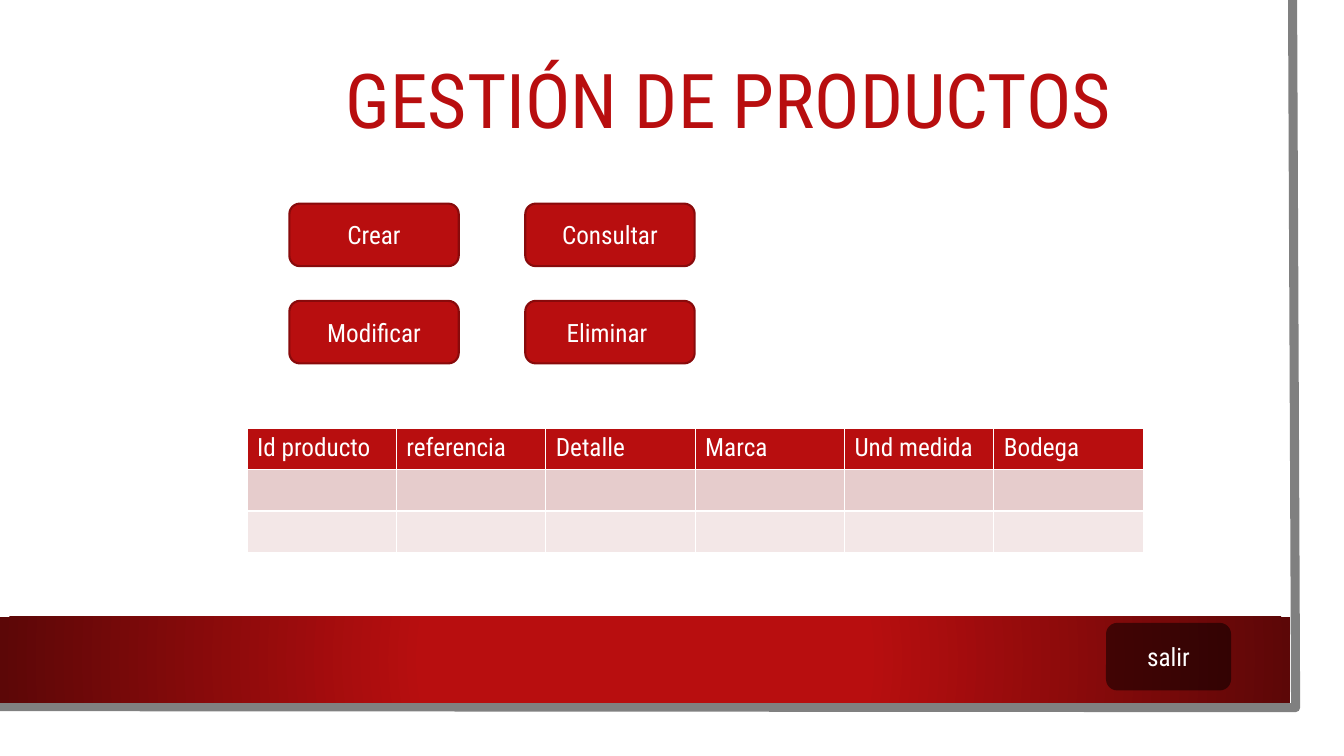
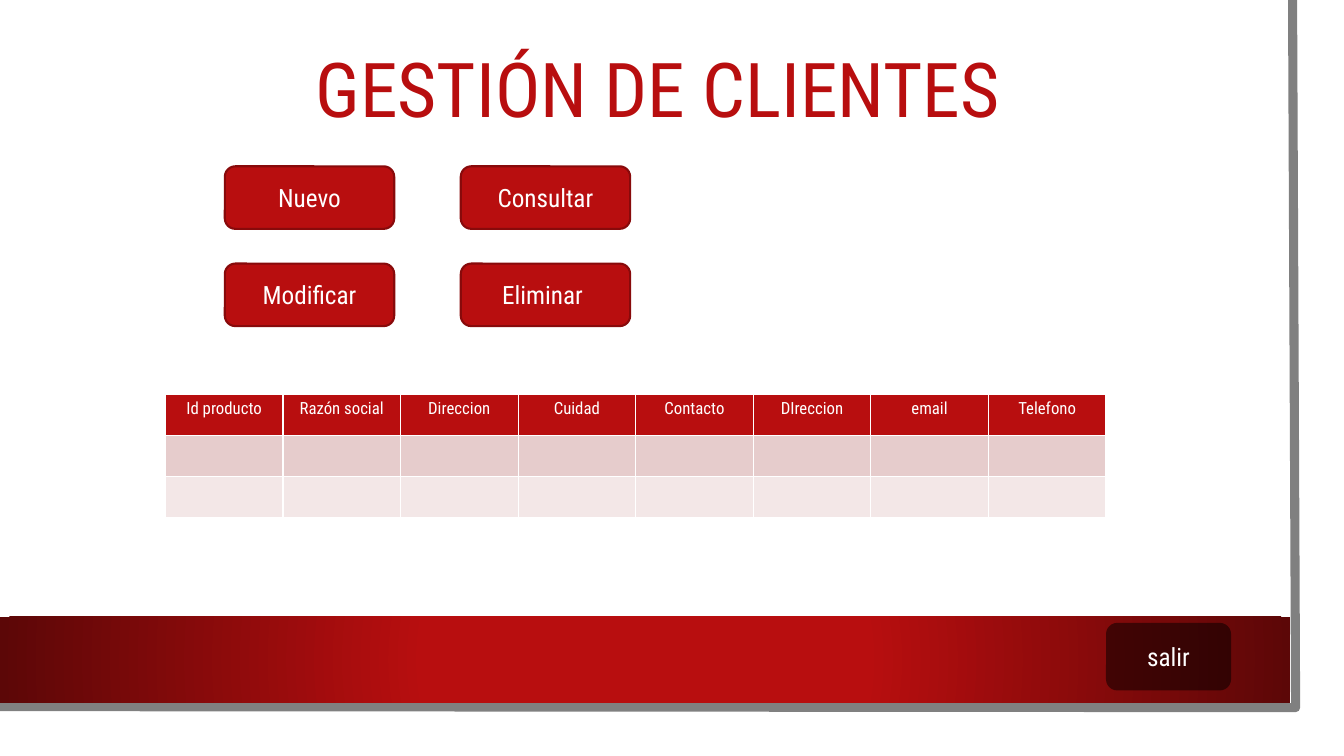
from lxml import etree
from pptx import Presentation
from pptx.dml.color import RGBColor
from pptx.enum import shapes, text
from pptx.oxml import ns, parse_xml
from pptx.util import Inches, Pt

RED = RGBColor(0xB8, 0x0E, 0x0F)
DARK = RGBColor(0x5C, 0x07, 0x07)
EDGE = RGBColor(0x88, 0x0A, 0x0B)
GREY = RGBColor(0x80, 0x80, 0x80)
ROSE = RGBColor(0xE6, 0xCC, 0xCC)
PALE = RGBColor(0xF3, 0xE7, 0xE7)
WHITE = RGBColor(0xFF, 0xFF, 0xFF)
BLACK = RGBColor(0, 0, 0)

FONT = "Roboto Condensed"
RECT = shapes.MSO_SHAPE.RECTANGLE
ROUND = shapes.MSO_SHAPE.ROUNDED_RECTANGLE
CENTER = text.PP_ALIGN.CENTER
MIDDLE = text.MSO_ANCHOR.MIDDLE

BTN_W, BTN_H = 1.68, 0.62
STEP_X, STEP_Y = 2.34, 0.965
ROW_H = 0.41

SCREENS = [
    {"title": "GESTIÓN DE PRODUCTOS", "place": (1.54, 0.4),
     "buttons": ["Crear", "Consultar", "Modificar", "Eliminar "], "start": (2.87, 2.02),
     "heads": ["Id producto", "referencia", "Detalle", "Marca", "Und medida", "Bodega"],
     "grid": (2.45, 4.25, 8.89), "size": 18, "align": None},
    {"title": "GESTIÓN DE CLIENTES", "place": (0.84, 0.29),
     "buttons": ["Nuevo", "Consultar", "Modificar", "Eliminar "], "start": (2.23, 1.65),
     "heads": ["Id producto", "Razón social", "Direccion", "Cuidad", "Contacto",
               "DIreccion", "email", "Telefono"],
     "grid": (1.64, 3.91, 9.33), "size": 12, "align": CENTER},
]


def write(frame, words, size, color, align=CENTER):
    frame.text = words
    par = frame.paragraphs[0]
    par.alignment = align
    look = {"name": FONT, "size": Pt(size), "bold": False}
    for key, value in look.items():
        setattr(par.runs[0].font, key, value)
    par.runs[0].font.color.rgb = color


def add_box(slide, kind, area, fill, line=None):
    box = slide.shapes.add_shape(kind, *map(Inches, area))
    box.shadow.inherit = False
    box.fill.solid()
    box.fill.fore_color.rgb = fill
    if line is None:
        box.line.fill.background()
    else:
        box.line.color.rgb = line
        box.line.width = Pt(1.5)
    return box


def add_button(slide, words, area, fill=RED, line=EDGE):
    box = add_box(slide, ROUND, area, fill, line)
    box.text_frame.vertical_anchor = MIDDLE
    write(box.text_frame, words, 18, WHITE)
    return box


def add_exit(slide):
    box = add_button(slide, "salir", (10.97, 6.18, 1.24, 0.67), BLACK, None)
    color = box.fill._xPr.find(".//" + ns.qn("a:srgbClr"))
    etree.SubElement(color, ns.qn("a:alpha")).set("val", "50000")


def add_border(slide):
    """Draw the open grey line along the right and bottom page edges."""
    points = [(Inches(x), Inches(y)) for x, y in [(12.82, 0), (12.85, 7.02), (-0.03, 7.01)]]
    pen = slide.shapes.build_freeform(*points[0])
    pen.add_line_segments(points[1:], close=False)
    border = pen.convert_to_shape()
    border.shadow.inherit = False
    border.fill.background()
    border.line.color.rgb = GREY
    border.line.width = Pt(6.5)
    return border


def add_band(slide):
    band = add_box(slide, RECT, (0, 6.12, 12.8, 0.85), RED)
    band.fill.gradient()
    for stop, color, spot in zip(band.fill.gradient_stops, (RED, DARK), (0.34, 1)):
        stop.color.rgb = color
        stop.position = spot
    lin = band.element.spPr.find(".//" + ns.qn("a:lin"))
    lin.getparent().replace(lin, parse_xml(
        f'<a:path {ns.nsdecls("a")} path="circle">'
        '<a:fillToRect l="50000" t="50000" r="50000" b="50000"/></a:path>'))
    return band


def add_frame(slide):
    """Draw the page, border and band, and hand them to the slide's layout."""
    parts = [add_box(slide, RECT, (0, 0, 13.1, 7.27), WHITE), add_border(slide), add_band(slide)]
    tree = slide.slide_layout.shapes.element
    for i, part in enumerate(parts):
        part.element.find(".//" + ns.qn("p:cNvPr")).set("id", str(100 + i))
        tree.insert(2 + i, part.element)


def set_title(slide, words, place):
    title = slide.shapes.title
    spots = dict(zip(("left", "top", "width", "height"), (*place, 11.37, 1.26)))
    for key, value in spots.items():
        setattr(title, key, Inches(value))
    title.text_frame.vertical_anchor = MIDDLE
    write(title.text_frame, words, 54, RED)
    title.text_frame.paragraphs[0].line_spacing = 0.9


def add_buttons(slide, names, start):
    for i, name in enumerate(names):
        row, col = divmod(i, 2)
        area = (start[0] + col * STEP_X, start[1] + row * STEP_Y, BTN_W, BTN_H)
        add_button(slide, name, area)


def add_grid(slide, heads, area, size, align):
    fills = (RED, ROSE, PALE)
    left, top, width = area
    grid = slide.shapes.add_table(len(fills), len(heads), Inches(left), Inches(top),
                                  Inches(width), Inches(ROW_H * len(fills))).table
    for r, fill in enumerate(fills):
        for c in range(len(heads)):
            cell = grid.cell(r, c)
            cell.fill.solid()
            cell.fill.fore_color.rgb = fill
    for c, head in enumerate(heads):
        write(grid.cell(0, c).text_frame, head, size, WHITE, align)


def main():
    deck = Presentation()
    deck.slide_width, deck.slide_height = Inches(13.33), Inches(7.5)
    layout = deck.slide_layouts[5]
    for i, screen in enumerate(SCREENS):
        slide = deck.slides.add_slide(layout)
        if i == 0:
            add_frame(slide)
        set_title(slide, screen["title"], screen["place"])
        add_buttons(slide, screen["buttons"], screen["start"])
        add_grid(slide, screen["heads"], screen["grid"], screen["size"], screen["align"])
        add_exit(slide)
    deck.save("out.pptx")


if __name__ == "__main__":
    main()
